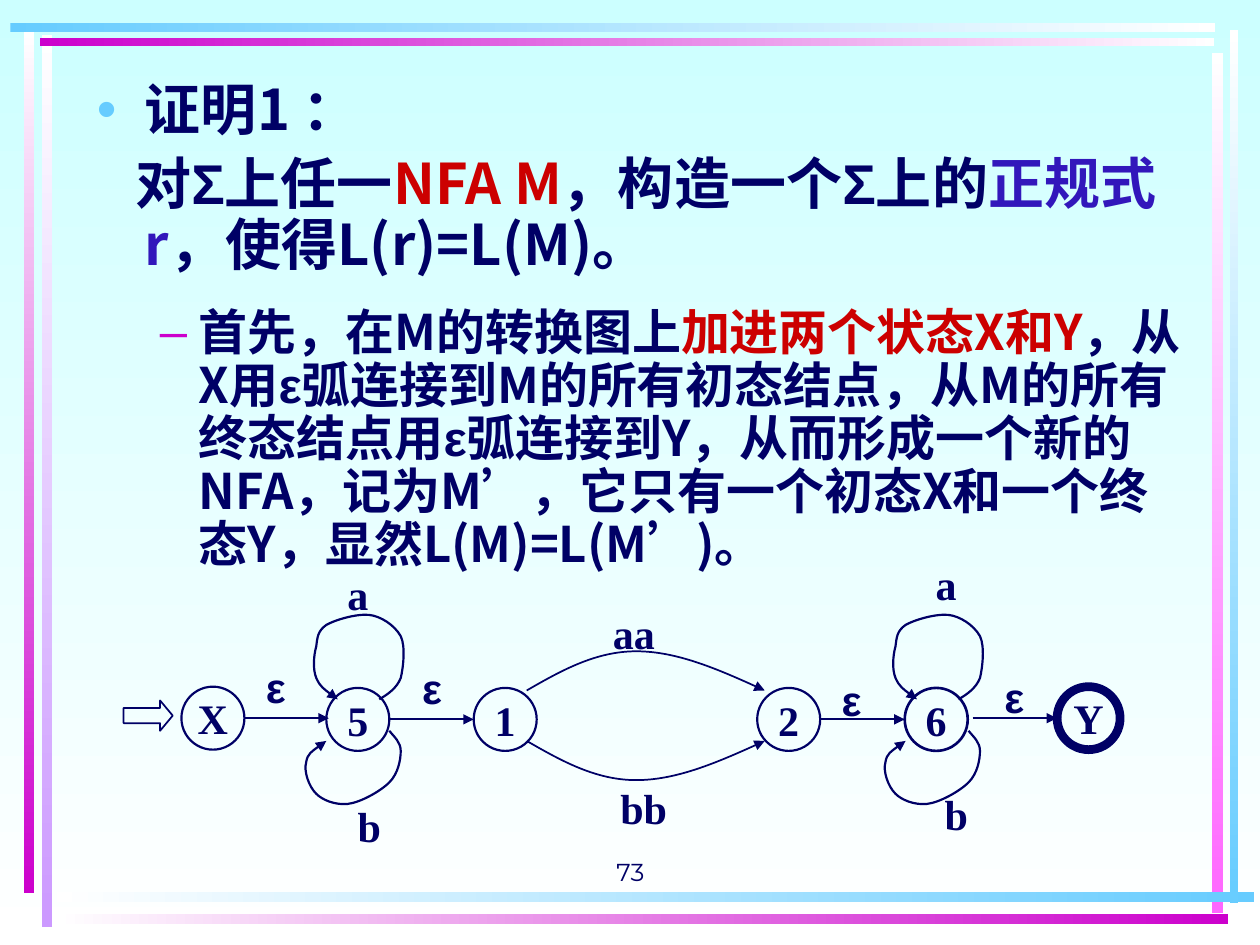
from dataclasses import dataclass

from lxml.etree import SubElement
from pptx import Presentation
from pptx.dml.color import RGBColor
from pptx.enum.shapes import MSO_CONNECTOR as Connector, MSO_SHAPE as Shape
from pptx.enum.text import MSO_ANCHOR as Anchor, MSO_AUTO_SIZE as AutoSize, PP_ALIGN as Align
from pptx.oxml.ns import qn
from pptx.util import Pt


@dataclass(frozen=True)
class Theme:
    navy: str = "000066"
    red: str = "CC0000"
    violet: str = "3217BB"
    magenta: str = "CC00CC"
    pink: str = "FF66FF"
    lilac: str = "CC99FF"
    sky: str = "66CCFF"
    ice: str = "CCFFFF"
    white: str = "FFFFFF"
    cjk: str = "Noto Sans CJK SC"
    greek: str = "Arial"
    serif: str = "Times New Roman"
    number: str = "Montserrat"
    lead_size: float = 32
    detail_size: float = 28
    label_size: float = 24
    number_size: float = 14
    line: float = 1.25
    thin: float = 1


THEME = Theme()
NODE = 36  # diameter of a state, and side of a label box


def rgb(value):
    return RGBColor.from_string(value)


class Painter:
    def __init__(self, page, theme):
        self.page, self.theme = page, theme

    def gradient(self, fill, start, end, downward):
        fill.gradient()
        fill.gradient_angle = 270 if downward else 0
        for stop, colour in zip(fill.gradient_stops, (start, end)):
            stop.color.rgb = rgb(colour)

    def band(self, left, top, width, height, start, end):
        box = self.page.shapes.add_shape(Shape.RECTANGLE, Pt(left), Pt(top), Pt(width), Pt(height))
        box.shadow.inherit = False
        box.line.fill.background()
        self.gradient(box.fill, start, end, height > width)

    def style(self, span, font, size, colour, bold=True):
        span.font.name, span.font.size, span.font.bold = font, Pt(size), bold
        span.font.color.rgb = rgb(colour)
        if font == self.theme.cjk:
            SubElement(span.font._element, qn("a:ea"), typeface=font)

    def stroke(self, shape, weight, arrow=False):
        shape.line.color.rgb = rgb(self.theme.navy)
        shape.line.width = Pt(weight)
        if arrow:
            SubElement(shape.line._get_or_add_ln(), qn("a:tailEnd"), type="triangle")

    def outline(self, kind, left, top, width, height, weight):
        shape = self.page.shapes.add_shape(kind, Pt(left), Pt(top), Pt(width), Pt(height))
        shape.shadow.inherit = False
        shape.fill.background()
        self.stroke(shape, weight)
        return shape

    def centre_text(self, box, text, font, size, bold=True, anchor=Anchor.MIDDLE):
        frame = box.text_frame
        frame.word_wrap = False
        frame.margin_left = frame.margin_right = 0
        frame.vertical_anchor = anchor
        frame.text = text
        para = frame.paragraphs[0]
        para.alignment = Align.CENTER
        self.style(para.runs[0], font, size, self.theme.navy, bold)

    def state(self, text, left, top, weight):
        circle = self.outline(Shape.OVAL, left, top, NODE, NODE, weight)
        self.centre_text(circle, text, self.theme.serif, self.theme.label_size)

    def label(self, text, left, top):
        box = self.page.shapes.add_textbox(Pt(left), Pt(top), Pt(NODE), Pt(NODE))
        font = self.theme.greek if text == "ε" else self.theme.serif
        self.centre_text(box, text, font, self.theme.label_size)

    def page_number(self, text, left, top, width, height):
        box = self.page.shapes.add_textbox(Pt(left), Pt(top), Pt(width), Pt(height))
        self.centre_text(box, text, self.theme.number, self.theme.number_size, False, Anchor.BOTTOM)

    def arrow(self, left, y, length):
        link = self.page.shapes.add_connector(
            Connector.STRAIGHT, Pt(left), Pt(y), Pt(left + length), Pt(y))
        self.stroke(link, self.theme.line, arrow=True)
        SubElement(link._element.spPr, qn("a:effectLst"))

    def curve(self, points, weight):
        """Arrow along cubic curves: a start, then three points for each curve."""
        points = [(Pt(x), Pt(y)) for x, y in points]
        builder = self.page.shapes.build_freeform(*points[0])
        builder.add_line_segments(points[1:], close=False)
        shape = builder.convert_to_shape()
        shape.shadow.inherit = False
        shape.fill.background()
        self.stroke(shape, weight, arrow=True)
        segments = shape._element.xpath(".//a:lnTo")
        outline = segments[0].getparent()
        for first in range(0, len(segments), 3):
            bezier = SubElement(outline, qn("a:cubicBezTo"))
            for segment in segments[first:first + 3]:
                bezier.append(segment[0])
                outline.remove(segment)

    def paragraph(self, para, spans, size, margin, indent, before=0, level=0, bullet=None):
        para.level, para.line_spacing, para.space_before = level, 0.9, Pt(before)
        props = para._p.get_or_add_pPr()
        props.set("marL", str(Pt(margin)))
        props.set("indent", str(Pt(indent)))
        if bullet:
            mark, colour = bullet
            SubElement(SubElement(props, qn("a:buClr")), qn("a:srgbClr"), val=colour)
            SubElement(props, qn("a:buChar"), char=mark)
        else:
            SubElement(props, qn("a:buNone"))
        for text, colour in spans:
            span = para.add_run()
            span.text = text
            font = self.theme.greek if text in "Σε" else self.theme.cjk
            self.style(span, font, size, colour)


def main():
    deck = Presentation()
    deck.slide_width, deck.slide_height = Pt(720), Pt(540)
    page = deck.slides.add_slide(deck.slide_layouts[1])
    title = page.shapes.title._element
    title.getparent().remove(title)
    theme = THEME
    painter = Painter(page, theme)

    # Background and frame of fading bands
    painter.gradient(page.background.fill, theme.ice, theme.white, True)
    for band in (
        (23.8, 20.2, 5.8, 509.8, theme.white, theme.lilac),
        (13.7, 18, 5.8, 492.5, theme.white, theme.magenta),
        (702.7, 17.3, 5, 499, theme.white, theme.sky),
        (692.6, 30.2, 6.5, 491.8, theme.white, theme.pink),
        (32.4, 509.8, 684, 5.8, theme.white, theme.sky),
        (32.4, 522, 669.6, 5.8, theme.white, theme.magenta),
        (23, 22, 671, 4.3, theme.magenta, theme.white),
        (6, 13.3, 688.3, 5, theme.sky, theme.white),
    ):
        painter.band(*band)

    # Proof text
    body = page.placeholders[1]
    body.left, body.top, body.width, body.height = Pt(48.2), Pt(43.2), Pt(635.8), Pt(420.5)
    frame = body.text_frame
    frame.auto_size = AutoSize.NONE
    navy, red = theme.navy, theme.red
    painter.paragraph(frame.paragraphs[0], [("证明1 ：", navy)], theme.lead_size,
                      27.4, -27.4, bullet=("•", theme.sky))
    painter.paragraph(frame.add_paragraph(), [
        ("对", navy), ("Σ", navy), ("上任一", navy), ("NFA M", red), ("，构造一个", navy),
        ("Σ", navy), ("上的", navy), ("正规式r", theme.violet), ("，使得L(r)=L(M)。", navy),
    ], theme.lead_size, 27.4, -5.5, before=8)
    painter.paragraph(frame.add_paragraph(), [
        ("首先，在M的转换图上", navy), ("加进两个状态X和Y", red), ("，从X用", navy), ("ε", navy),
        ("弧连接到M的所有初态结点，从M的所有终态结点用", navy), ("ε", navy),
        ("弧连接到Y，从而形成一个新的NFA，记为M’，它只有一个初态X和一个终态Y，显然L(M)=L(M’)。", navy),
    ], theme.detail_size, 58.3, -22.3, before=17.5, level=1, bullet=("–", theme.magenta))

    # States and the entry arrow
    row, end_row = 393.1, 392.4
    for text, left, top, weight in (
        ("X", 103.7, end_row, theme.line), ("5", 186.5, row, theme.line),
        ("1", 270.7, row, theme.line), ("2", 432.7, row, theme.line),
        ("6", 517, row, 1.5), ("Y", 604.1, end_row, 5),
    ):
        painter.state(text, left, top, weight)
    entry = painter.outline(Shape.RIGHT_ARROW, 70.6, 400.3, 28.1, 17.3, theme.thin)
    entry.adjustments[0], entry.adjustments[1] = 0.5, 0.417

    # Straight transitions
    for left, top in ((139.7, end_row), (222.5, row), (468.7, row), (555.8, end_row)):
        painter.arrow(left, top + NODE / 2, 48.2)

    # Self-loops, measured from the corner of their state
    upper_loop = [
        (30.2, 6.5), (35.3, 3.6), (40.3, 0), (42.5, -5.7), (43.9, -11.5), (45.3, -23.7),
        (42.5, -29.5), (38.9, -36), (30.9, -41), (24.5, -41.7), (17.3, -42.5), (5, -38.9),
        (0, -36), (-5.1, -32.4), (-5.1, -28.8), (-5.8, -23.7), (-7.2, -18.7), (-7.9, -10.8),
        (-5.8, -5.7), (-3.6, -0.7), (1.4, 2.9), (6.5, 6.5)]
    lower_loop = [
        (36, 24.5), (38.9, 28.1), (42.5, 31), (42.5, 36), (42.5, 41.1), (41, 49), (36, 54),
        (30.9, 59.1), (19.4, 65.5), (12.2, 66.3), (5, 67), (-2.2, 64.1), (-5.8, 60.5),
        (-10.1, 56.2), (-13, 47.5), (-11.5, 42.5), (-10.8, 37.5), (-5, 33.9), (0, 30.3)]
    for left in (186.5, 517.5):
        for loop in (upper_loop, lower_loop):
            painter.curve([(left + x, row + y) for x, y in loop], theme.line)

    # Arcs from 1 to 2, mirrored about the middle of the row
    arc = [(301, 14.4), (321.1, 26), (340.6, 36.8), (363.6, 36.8),
           (385.9, 36.8), (411.8, 26), (437, 14.4)]
    for side in (-1, 1):
        painter.curve([(x, 409 + side * rise) for x, rise in arc], theme.thin)

    # Transition labels
    for text, left, top in (
        ("a", 186.5, 321.1), ("b", 193, 453.6), ("a", 522.7, 315.4), ("b", 528.5, 447.1),
        ("aa", 344.2, 343.4), ("bb", 349.9, 443.5), ("ε", 139.7, 374.4),
        ("ε", 229, 375.1), ("ε", 468.7, 381.6), ("ε", 561.6, 380.2),
    ):
        painter.label(text, left, top)

    painter.page_number("73", 246.2, 473.8, 228.2, 36)
    deck.save("out.pptx")


if __name__ == "__main__":
    main()
